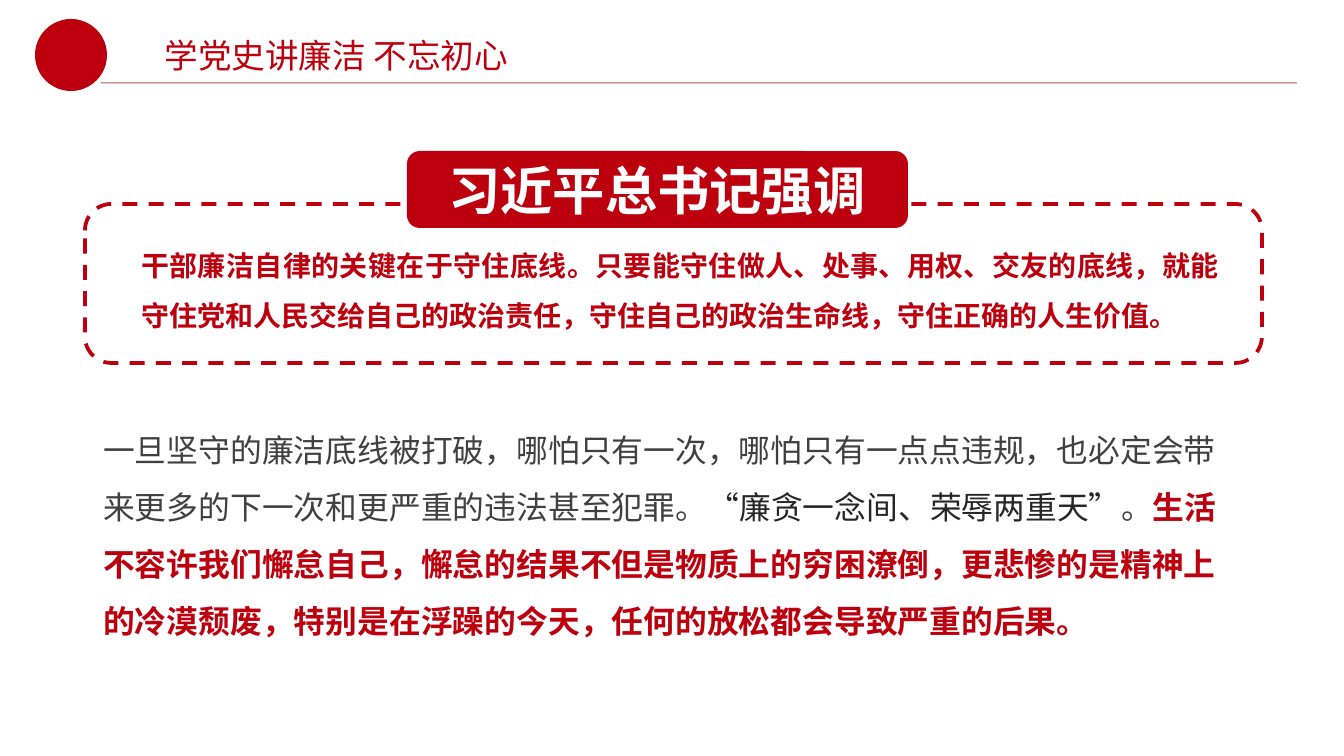
from lxml.etree import SubElement
from pptx import Presentation
from pptx.dml.color import RGBColor
from pptx.enum.dml import MSO_LINE
from pptx.enum.lang import MSO_LANGUAGE_ID as LANG
from pptx.enum.shapes import MSO_CONNECTOR, MSO_SHAPE
from pptx.enum.text import MSO_ANCHOR as ANCHOR, MSO_AUTO_SIZE as FIT, PP_ALIGN as ALIGN
from pptx.oxml.ns import qn
from pptx.util import Emu, Pt

FONT = "Noto Sans CJK SC"
RED = "BC000D"
GRAY = "404040"


def px(n):
    return Emu(round(n * 914400 / 134.4))


def box(*lengths):
    return [px(n) for n in lengths]


def rgb(color):
    return RGBColor.from_string(color)


def write(tf, runs, size, align=ALIGN.LEFT, spacing=None, anchor=ANCHOR.TOP, wrap=True):
    """Fill the first paragraph with (text, color, bold) runs."""
    tf.auto_size = FIT.NONE
    tf.word_wrap = wrap
    tf.vertical_anchor = anchor
    p = tf.paragraphs[0]
    p.alignment = align
    p.line_spacing = spacing
    for text, color, bold in runs:
        r = p.add_run()
        r.text = text
        font = r.font
        font.size = Pt(size)
        font.bold = bold
        font.language_id = LANG.SIMPLIFIED_CHINESE
        font.color.rgb = rgb(color)
        font.name = FONT
        SubElement(r._r.get_or_add_rPr(), qn("a:ea"), typeface=FONT)


def add_text(s, at, runs, size, **options):
    write(s.shapes.add_textbox(*box(*at)).text_frame, runs, size, **options)


def add_solid(s, kind, at, color):
    sp = s.shapes.add_shape(kind, *box(*at))
    sp.shadow.inherit = False
    sp.fill.solid()
    sp.fill.fore_color.rgb = rgb(color)
    sp.line.fill.background()
    return sp


def add_dashed_frame(s, at, color):
    sp = s.shapes.add_shape(MSO_SHAPE.ROUNDED_RECTANGLE, *box(*at))
    sp.shadow.inherit = False
    sp.fill.background()
    sp.line.color.rgb = rgb(color)
    sp.line.width = Pt(2)
    sp.line.dash_style = MSO_LINE.DASH


def add_rule(s, x1, x2, y, color, opacity):
    line = s.shapes.add_connector(MSO_CONNECTOR.STRAIGHT, *box(x1, y, x2, y))
    line.line.color.rgb = rgb(color)
    line.line.width = Pt(0.5)
    spPr = line._element.spPr
    SubElement(spPr.find(".//" + qn("a:srgbClr")), qn("a:alpha"), val=str(opacity * 1000))
    SubElement(spPr, qn("a:effectLst"))


def add_title(s, at, text):
    title = s.shapes.title
    title.left, title.top, title.width, title.height = box(*at)
    write(title.text_frame, [(text, RED, False)], 18)


def main():
    prs = Presentation()
    prs.slide_width, prs.slide_height = box(1344, 756)
    s = prs.slides.add_slide(prs.slide_layouts[5])

    add_rule(s, 101, 1297, 83, "8E1F0C", 73)
    add_solid(s, MSO_SHAPE.OVAL, (35, 19, 72, 72), RED)
    add_title(s, (151, 28, 595, 74), "学党史讲廉洁 不忘初心")

    add_dashed_frame(s, (85, 204, 1177, 159), RED)
    quote = ("干部廉洁自律的关键在于守住底线。只要能守住做人、处事、用权、交友的底线，就能"
             "守住党和人民交给自己的政治责任，守住自己的政治生命线，守住正确的人生价值。")
    add_text(s, (128, 222, 1105, 120), [(quote, RED, True)], 15,
             align=ALIGN.JUSTIFY, spacing=1.5, anchor=ANCHOR.MIDDLE)
    badge = add_solid(s, MSO_SHAPE.ROUNDED_RECTANGLE, (407, 151, 501, 77), RED)
    write(badge.text_frame, [("习近平总书记强调", "FFFFFF", True)], 28,
          align=ALIGN.CENTER, anchor=ANCHOR.MIDDLE, wrap=False)

    add_text(s, (90, 405, 1153, 245), [
        ("一旦坚守的廉洁底线被打破，哪怕只有一次，哪怕只有一点点违规，也必定会带"
         "来更多的下一次和更严重的违法甚至犯罪。", GRAY, False),
        ("“廉贪一念间、荣辱两重天”", "262626", False),
        ("。", GRAY, False),
        ("生活不容许我们懈怠自己，懈怠的结果不但是物质上的穷困潦倒，更悲惨的是精神上"
         "的冷漠颓废，特别是在浮躁的今天，任何的放松都会导致严重的后果。", RED, True),
    ], 17, spacing=1.5)

    prs.save("out.pptx")


if __name__ == "__main__":
    main()
